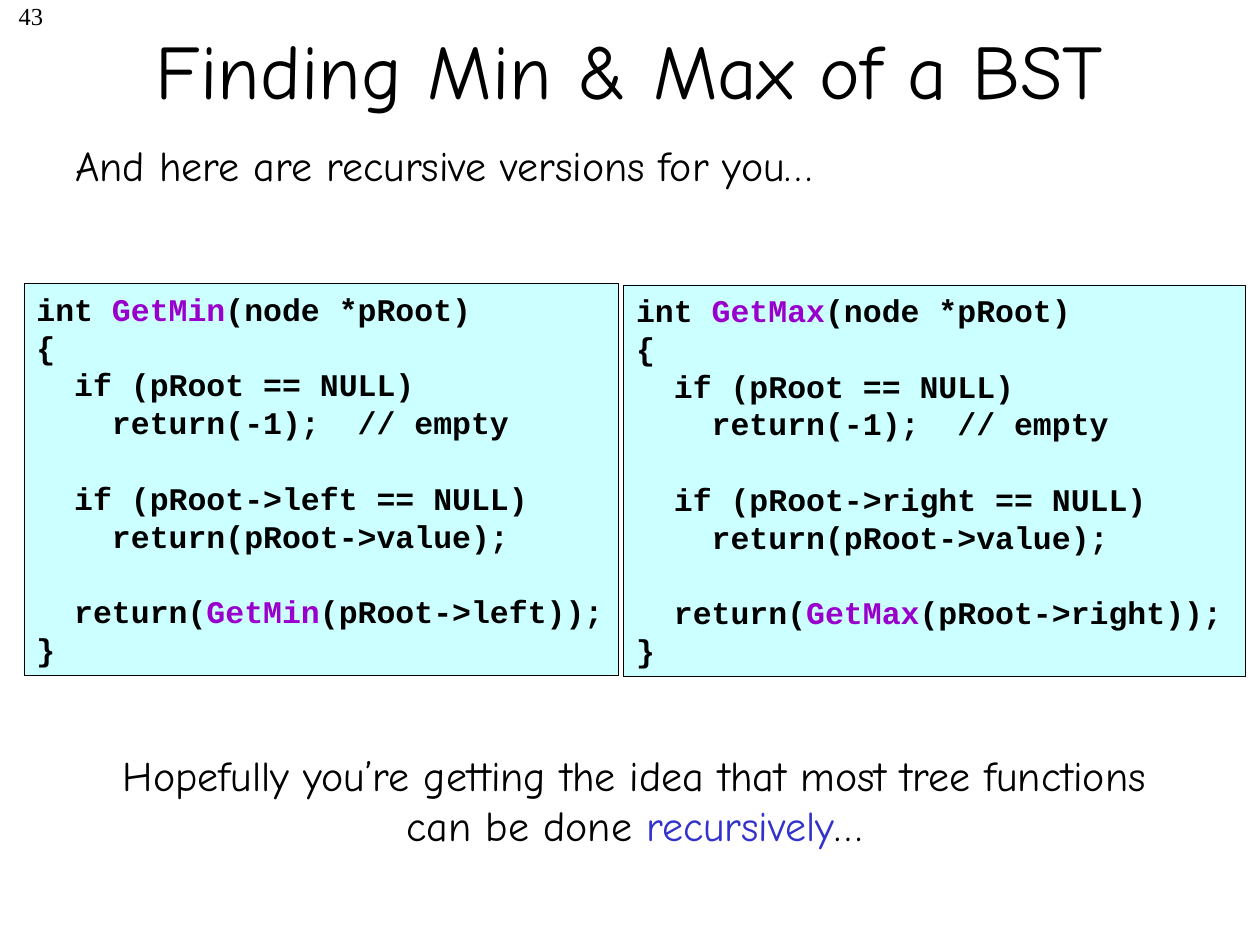
"""Build the slide on recursive minimum and maximum of a search tree."""
from dataclasses import dataclass
from typing import NamedTuple

from pptx import Presentation
from pptx.dml.color import RGBColor as Rgb
from pptx.enum.shapes import MSO_SHAPE as Shape
from pptx.enum.text import MSO_ANCHOR as Anchor, PP_ALIGN as Align
from pptx.util import Inches, Pt


@dataclass(frozen=True)
class Theme:
    ink: Rgb = Rgb(0, 0, 0)
    blue: Rgb = Rgb(0x33, 0x33, 0xCC)
    name: Rgb = Rgb(0x99, 0, 0xCC)
    panel: Rgb = Rgb(0xCC, 0xFF, 0xFF)
    hand: str = "Comic Neue"
    mono: str = "Courier New"
    serif: str = "Times New Roman"
    head: int = 44
    body: int = 24
    code: int = 18
    small: int = 14
    pitch: float = 21.6
    step: float = 0.3


class Box(NamedTuple):
    left: float
    top: float
    width: float
    height: float


class Note(NamedTuple):
    box: Box
    texts: tuple[str, ...]
    font: str
    size: int
    align: Align
    anchor: Anchor = Anchor.TOP
    line: float | None = None
    before: int = 0


class Panel(NamedTuple):
    box: Box
    func: str
    side: str


class Line(NamedTuple):
    level: int
    text: str
    gap: bool = False


THEME = Theme()
NOTES = (
    Note(Box(0, -0.04, 0.44, 0.5), ("43",), THEME.serif, THEME.small, Align.RIGHT),
    Note(Box(0.58, 5.9, 8.91, 0.9),
         ("Hopefully you’re getting the idea that most tree functions can be done ",
          "recursively", "…"), THEME.hand, THEME.body, Align.CENTER),
    Note(Box(0.75, -0.08, 8.5, 1.25), ("Finding Min & Max of a BST",),
         THEME.hand, THEME.head, Align.CENTER, Anchor.MIDDLE),
    Note(Box(0.5, 1.1, 9.17, 0.9), ("And here are recursive versions for you…",),
         THEME.hand, THEME.body, Align.LEFT, line=0.9, before=5),
)
PANELS = (
    Panel(Box(0.19, 2.25, 4.72, 3.11), "GetMin", "left"),
    Panel(Box(4.95, 2.26, 4.93, 3.11), "GetMax", "right"),
)
CODE = (
    Line(0, "int @(node *pRoot)"),
    Line(0, "{"),
    Line(1, "if (pRoot == NULL)"),
    Line(2, "return(-1);  // empty"),
    Line(1, "if (pRoot->{side} == NULL)", True),
    Line(2, "return(pRoot->value);"),
    Line(1, "return(@(pRoot->{side}));", True),
    Line(0, "}"),
)


def place(box: Box) -> tuple[int, ...]:
    return tuple(Inches(side) for side in box)


def write(para, texts: tuple[str, ...], font: str, size: int, accent: Rgb) -> None:
    para.font.name, para.font.size = font, Pt(size)
    for index, text in enumerate(texts):
        run = para.add_run()
        run.text = text
        run.font.color.rgb = accent if index % 2 else THEME.ink


def add_note(slide, note: Note) -> None:
    frame = slide.shapes.add_textbox(*place(note.box)).text_frame
    frame.word_wrap = True
    frame.vertical_anchor = note.anchor
    para = frame.paragraphs[0]
    para.alignment = note.align
    para.space_before = Pt(note.before)
    if note.line:
        para.line_spacing = note.line
    write(para, note.texts, note.font, note.size, THEME.blue)


def add_panel(slide, panel: Panel) -> None:
    shape = slide.shapes.add_shape(Shape.RECTANGLE, *place(panel.box))
    shape.shadow.inherit = False
    shape.fill.solid()
    shape.fill.fore_color.rgb = THEME.panel
    shape.line.color.rgb = THEME.ink
    shape.line.width = Pt(0.25)
    frame = shape.text_frame
    frame.word_wrap = False
    frame.vertical_anchor = Anchor.TOP
    for index, line in enumerate(CODE):
        para = frame.add_paragraph() if index else frame.paragraphs[0]
        para.alignment = Align.LEFT
        para.line_spacing = Pt(THEME.pitch)
        para.space_before = Pt(THEME.pitch if line.gap else 0)
        para.font.bold = True
        props = para._p.get_or_add_pPr()
        props.set("marL", str(Inches(line.level * THEME.step)))
        props.set("indent", "0")
        head, *tail = line.text.replace("{side}", panel.side).split("@")
        texts = (head, panel.func, *tail) if tail else (head,)
        write(para, texts, THEME.mono, THEME.code, THEME.name)


def main() -> None:
    deck = Presentation()
    deck.slide_width, deck.slide_height = Inches(10), Inches(7.5)
    slide = deck.slides.add_slide(deck.slide_layouts[6])
    for note in NOTES:
        add_note(slide, note)
    for panel in PANELS:
        add_panel(slide, panel)
    deck.save("out.pptx")


main()
